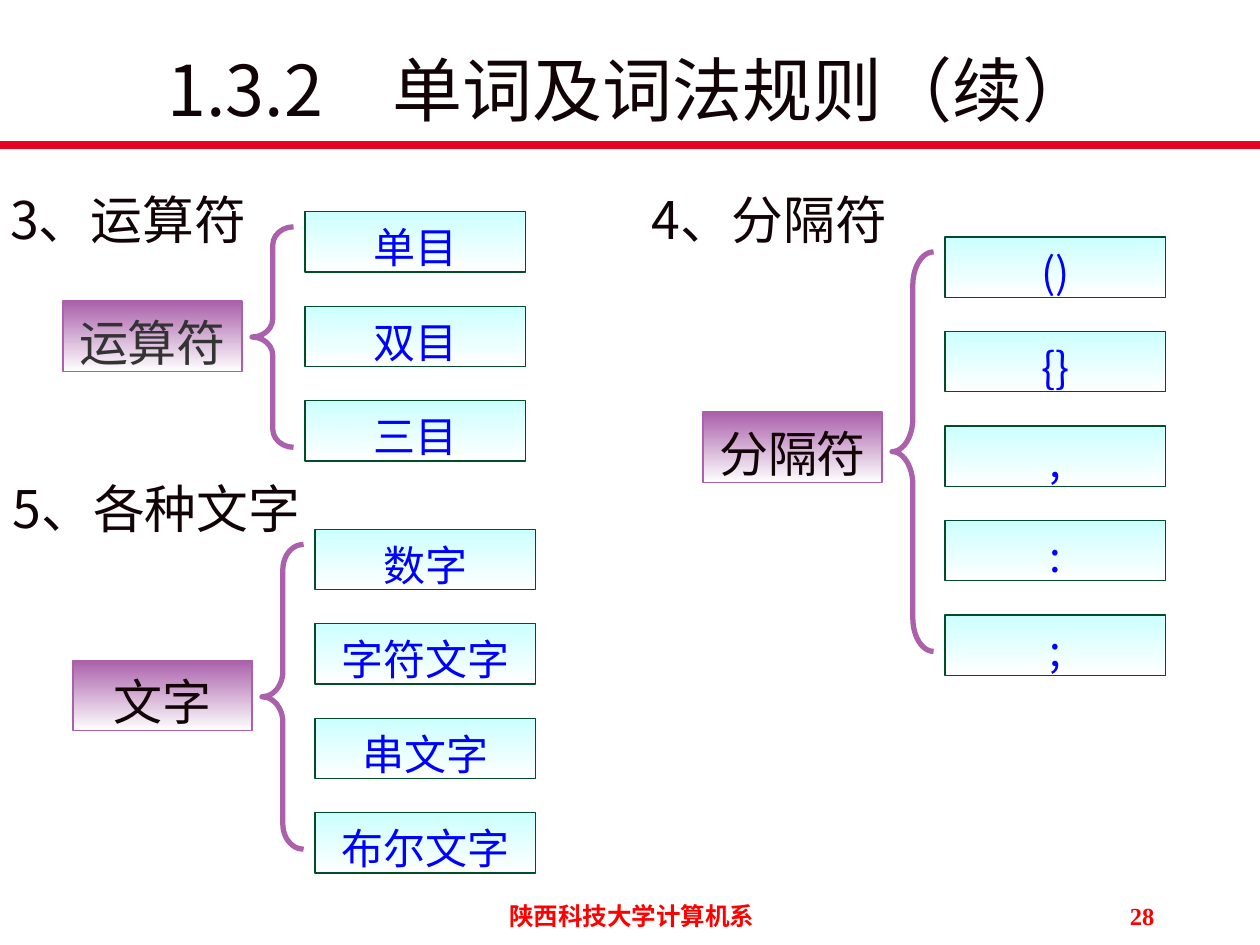
import pptx
import pptx.util
import pptx.dml.color
import pptx.enum.shapes
import pptx.enum.text
import lxml.etree

Inches = pptx.util.Inches
Pt = pptx.util.Pt
RGBColor = pptx.dml.color.RGBColor
Shape = pptx.enum.shapes.MSO_SHAPE
Align = pptx.enum.text.PP_ALIGN
Anchor = pptx.enum.text.MSO_ANCHOR

INK = RGBColor(0x11, 0x03, 0x06)
GREY = RGBColor(0x33, 0x33, 0x33)
RED = RGBColor(0xFF, 0x00, 0x00)
RULE = RGBColor(0xE6, 0x02, 0x23)
BLUE = RGBColor(0x00, 0x00, 0xFF)
CYAN = RGBColor(0xCC, 0xFF, 0xFF)
GREEN = RGBColor(0x00, 0x4C, 0x2B)
PURPLE = RGBColor(0xAA, 0x60, 0xAA)
WHITE = RGBColor(0xFF, 0xFF, 0xFF)
SANS = "Noto Sans CJK SC"
SERIF = "Times New Roman"
NS = "{http://schemas.openxmlformats.org/drawingml/2006/main}"


def put(shape, text, size, color, font=SANS, align=Align.CENTER,
        before=0, lines=1.0, inset=(0, 0), anchor=Anchor.MIDDLE, bold=False):
    """Write one formatted line of text into a shape."""
    frame = shape.text_frame
    frame.word_wrap = True
    frame.auto_size = pptx.enum.text.MSO_AUTO_SIZE.NONE
    frame.vertical_anchor = anchor
    frame.margin_left = frame.margin_right = Inches(inset[0])
    frame.margin_top = frame.margin_bottom = Inches(inset[1])
    para = frame.paragraphs[0]
    para.alignment = align
    para.space_before = Pt(before)
    para.line_spacing = lines
    run = para.add_run()
    run.text = text
    run.font.size = Pt(size)
    run.font.bold = bold
    run.font.color.rgb = color
    run.font.name = font
    east = lxml.etree.Element(NS + "ea", typeface=SANS)
    run.font._element.find(NS + "latin").addnext(east)


def panel(x, y, wide, high, top, edge):
    """Add a box that fades from the top colour down to white."""
    box = slide.shapes.add_shape(
        Shape.RECTANGLE, Inches(x), Inches(y), Inches(wide), Inches(high))
    box.shadow.inherit = False
    box.fill.gradient()
    box.fill.gradient_angle = 270
    for stop, color in zip(box.fill.gradient_stops, (top, WHITE)):
        stop.color.rgb = color
    box.line.color.rgb = edge
    box.line.width = Pt(0.75)
    return box


deck = pptx.Presentation()
deck.slide_width = Inches(10)
deck.slide_height = Inches(7.5)
slide = deck.slides.add_slide(deck.slide_layouts[5])

title = slide.shapes.title
title.left, title.top = Inches(0.75), Inches(0.41)
title.width, title.height = Inches(8.5), Inches(0.58)
put(title, "1.3.2 单词及词法规则（续）".replace(" ", "　"), 40, INK)

rule = slide.shapes.add_connector(
    pptx.enum.shapes.MSO_CONNECTOR.STRAIGHT,
    Inches(0), Inches(1.15), Inches(10), Inches(1.15))
rule.line.color.rgb = RULE
rule.line.width = Pt(4.75)
lxml.etree.SubElement(rule._element.spPr, NS + "effectLst")

# Heading, its left and top; label, its top and colour and font;
# first item's left and top, brace height, items
groups = [
    ("3、运算符", 0.08, 1.52, "运算符", 2.39, GREY, SERIF,
     2.42, 1.68, 1.75, ["单目", "双目", "三目"]),
    ("4、分隔符", 5.17, 1.52, "分隔符", 3.27, INK, SANS,
     7.5, 1.88, 3.17, ["()", "{}", ",", ":", ";"]),
    ("5、各种文字", 0.1, 3.81, "文字", 5.24, INK, SANS,
     2.5, 4.2, 2.42, ["数字", "字符文字", "串文字", "布尔文字"]),
]
PITCH = 0.75
SPAN = 0.33

for (head, left, top, label, mid, color, font,
     x, y, tall, items) in groups:
    text = slide.shapes.add_textbox(
        Inches(left), Inches(top), Inches(3.17), Inches(0.5))
    put(text, head, 29.6, INK, align=Align.LEFT, before=8, lines=0.9)

    for row, item in enumerate(items):
        box = panel(x, y + row * PITCH, 1.75, 0.48, CYAN, GREEN)
        put(box, item, 24, BLUE, before=15, lines=1.2)

    box = panel(x - 1.92, mid, 1.42, 0.56, PURPLE, PURPLE)
    put(box, label, 28, color, font, before=17.5, lines=1.2)

    brace = slide.shapes.add_shape(
        Shape.LEFT_BRACE, Inches(x - 0.42), Inches(y + 0.12),
        Inches(SPAN), Inches(tall))
    brace.shadow.inherit = False
    brace.fill.background()
    brace.line.color.rgb = PURPLE
    brace.line.width = Pt(3)
    # Each curve takes a twelfth of the height
    brace.adjustments[0] = tall / SPAN / 12

for words, left, wide, align in [
        ("陕西科技大学计算机系", 3.43, 3.17, Align.CENTER),
        ("28", 7.18, 2.08, Align.RIGHT)]:
    foot = slide.shapes.add_textbox(
        Inches(left), Inches(7.1), Inches(wide), Inches(0.4))
    put(foot, words, 14, RED, SERIF, align, before=8.8,
        inset=(0.1, 0.05), anchor=Anchor.TOP, bold=True)

deck.save("out.pptx")
